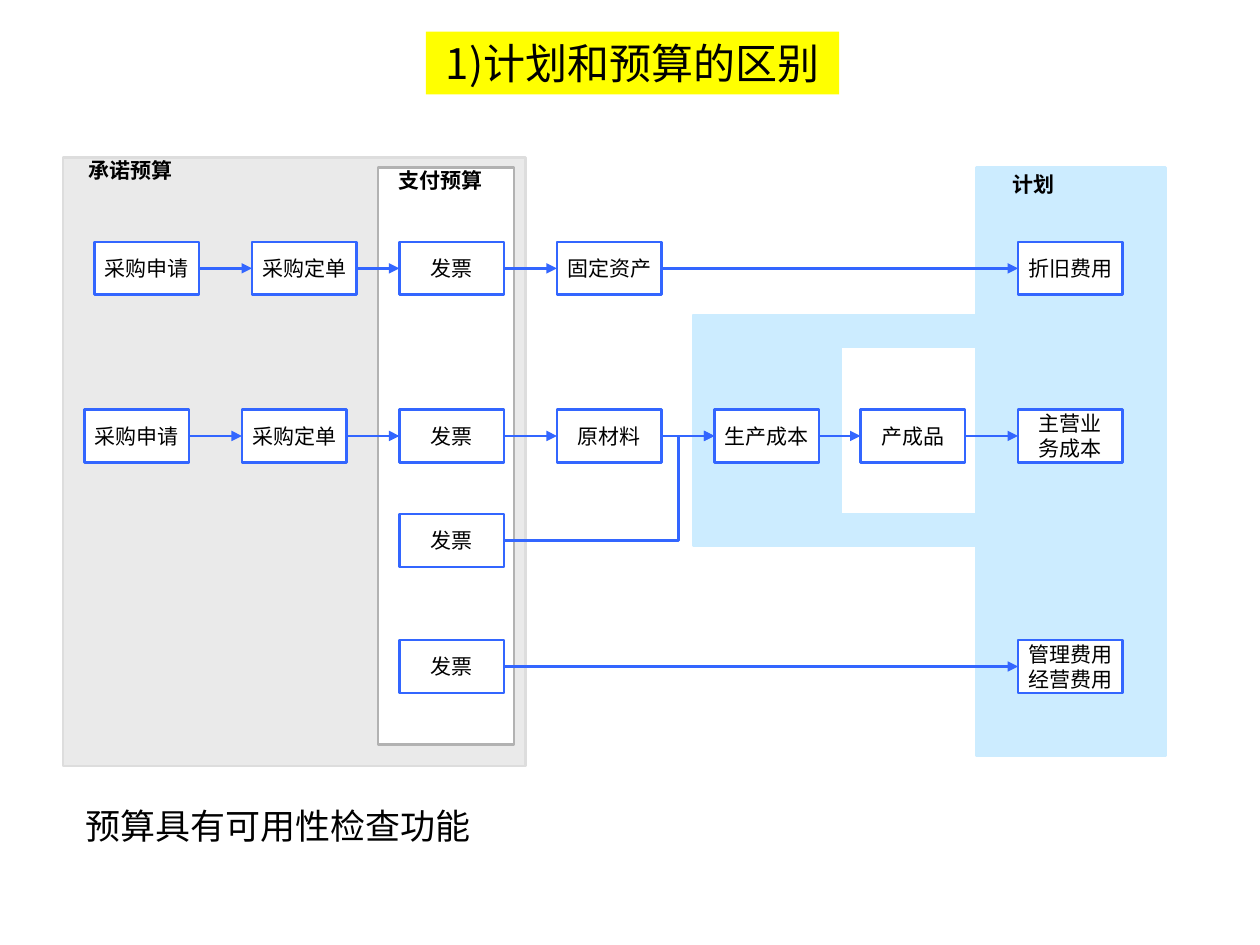
from itertools import pairwise
from lxml.etree import SubElement
from pptx import Presentation
from pptx.dml.color import RGBColor
from pptx.enum.shapes import MSO_CONNECTOR, MSO_SHAPE
from pptx.enum.text import MSO_ANCHOR, MSO_AUTO_SIZE, PP_ALIGN
from pptx.oxml.ns import qn
from pptx.util import Inches, Pt

COLORS = {
    "ink": "000000", "white": "FFFFFF", "blue": "3366FF", "sky": "CCECFF",
    "gray": "EAEAEA", "edge": "DDDDDD", "rim": "B2B2B2", "yellow": "FFFF00",
}
SERIF = "Times New Roman"
BOX_W, BOX_H = 0.83, 0.42
BILL_X, COST_X = 3.17, 8.08


def color(name):
    return RGBColor.from_string(COLORS[name])


def write(shape, text, size=12, font=SERIF, bold=False,
          align=PP_ALIGN.CENTER, wrap=False):
    frame = shape.text_frame
    look = {
        "text": text, "word_wrap": wrap, "auto_size": MSO_AUTO_SIZE.NONE,
        "vertical_anchor": MSO_ANCHOR.MIDDLE,
        "margin_left": Inches(0.1), "margin_right": Inches(0.1),
        "margin_top": Inches(0.05), "margin_bottom": Inches(0.05),
    }
    for key, value in look.items():
        setattr(frame, key, value)
    for para in frame.paragraphs:
        para.alignment = align
        for key, value in {"name": font, "size": Pt(size), "bold": bold}.items():
            setattr(para.font, key, value)
        para.font.color.rgb = color("ink")


def add_rect(slide, box, fill, line):
    rect = slide.shapes.add_shape(MSO_SHAPE.RECTANGLE, *map(Inches, box))
    rect.shadow.inherit = False
    rect.fill.solid()
    rect.fill.fore_color.rgb = color(fill)
    rect.line.color.rgb = color(line)
    rect.line.width = Pt(1.5)
    return rect


def add_text(slide, box, text, **look):
    write(slide.shapes.add_textbox(*map(Inches, box)), text, **look)


def add_arrow(slide, kind, start, end):
    arrow = slide.shapes.add_connector(kind, *map(Inches, start + end))
    arrow.line.color.rgb = color("blue")
    arrow.line.width = Pt(1.5)
    SubElement(arrow.line._get_or_add_ln(), qn("a:tailEnd"), type="triangle")
    SubElement(arrow._element.spPr, qn("a:effectLst"))
    return arrow


def add_title(slide, box):
    title = slide.shapes.title
    title.left, title.top, title.width, title.height = map(Inches, box)
    title.fill.solid()
    title.fill.fore_color.rgb = color("yellow")
    write(title, "1)计划和预算的区别", 24, "Noto Sans CJK SC")


def add_plan(slide, box):
    """Draw the plan column and the frame that reaches left around its gap."""
    left, top, width, height = box
    arm, bar = left - 2.25, 0.25
    for part in (
        (arm, top + 1.42, 1.17, 1.33),
        box,
        (arm, top + 1.17, 2.5, bar),
        (arm, top + 2.75, 2.33, bar),
    ):
        add_rect(slide, part, "sky", "sky")
    add_text(slide, (left + 0.19, top - 0.02, 0.53, 0.3), "计划", bold=True)


def add_panel(slide, box, fill, line, label, shift):
    left, top, width, height = box
    add_rect(slide, box, fill, line)
    add_text(slide, (left + shift, top - 0.05, 0.86, 0.3), label, bold=True)


def add_flow(slide, top, steps):
    """Draw a row of boxes, each joined to the next by an arrow."""
    boxes = []
    for left, text in steps:
        box = add_rect(slide, (left, top, BOX_W, BOX_H), "white", "blue")
        write(box, text)
        boxes.append(box)
    for first, second in pairwise(boxes):
        arrow = add_arrow(slide, MSO_CONNECTOR.STRAIGHT, (0, 0), (1, 0))
        arrow.begin_connect(first, 3)
        arrow.end_connect(second, 1)


def add_bend(slide, start, end, turn):
    """Draw an elbow arrow that turns at the given share of its width."""
    bend = add_arrow(slide, MSO_CONNECTOR.ELBOW, start, end)
    guides = bend._element.spPr.find(qn("a:prstGeom")).find(qn("a:avLst"))
    SubElement(guides, qn("a:gd"), name="adj1", fmla=f"val {round(turn * 100000)}")


def main():
    deck = Presentation()
    deck.slide_width, deck.slide_height = Inches(10), Inches(7.5)
    slide = deck.slides.add_slide(deck.slide_layouts[5])

    add_title(slide, (3.38, 0.25, 3.28, 0.5))
    add_plan(slide, (7.75, 1.33, 1.5, 4.67))
    add_panel(slide, (0.5, 1.25, 3.67, 4.83), "gray", "edge", "承诺预算", 0.11)
    add_panel(slide, (3, 1.33, 1.08, 4.58), "white", "rim", "支付预算", 0.07)

    bill = (BILL_X, "发票")
    flows = {
        1.92: [(0.75, "采购申请"), (2, "采购定单"), bill,
               (4.42, "固定资产"), (COST_X, "折旧费用")],
        3.25: [(0.67, "采购申请"), (1.92, "采购定单"), bill,
               (4.42, "原材料"), (5.67, "生产成本"), (6.83, "产成品"),
               (COST_X, "主营业\n务成本")],
        5.08: [bill, (COST_X, "管理费用\n经营费用")],
        4.08: [bill],
    }
    for top, steps in flows.items():
        add_flow(slide, top, steps)
    add_bend(slide, (BILL_X + BOX_W, 4.08 + BOX_H / 2),
             (5.67, 3.25 + BOX_H / 2), 0.83)

    add_text(slide, (0.58, 6.33, 4.17, 0.44), "预算具有可用性检查功能",
             size=20, align=PP_ALIGN.LEFT, wrap=True)
    deck.save("out.pptx")


if __name__ == "__main__":
    main()
